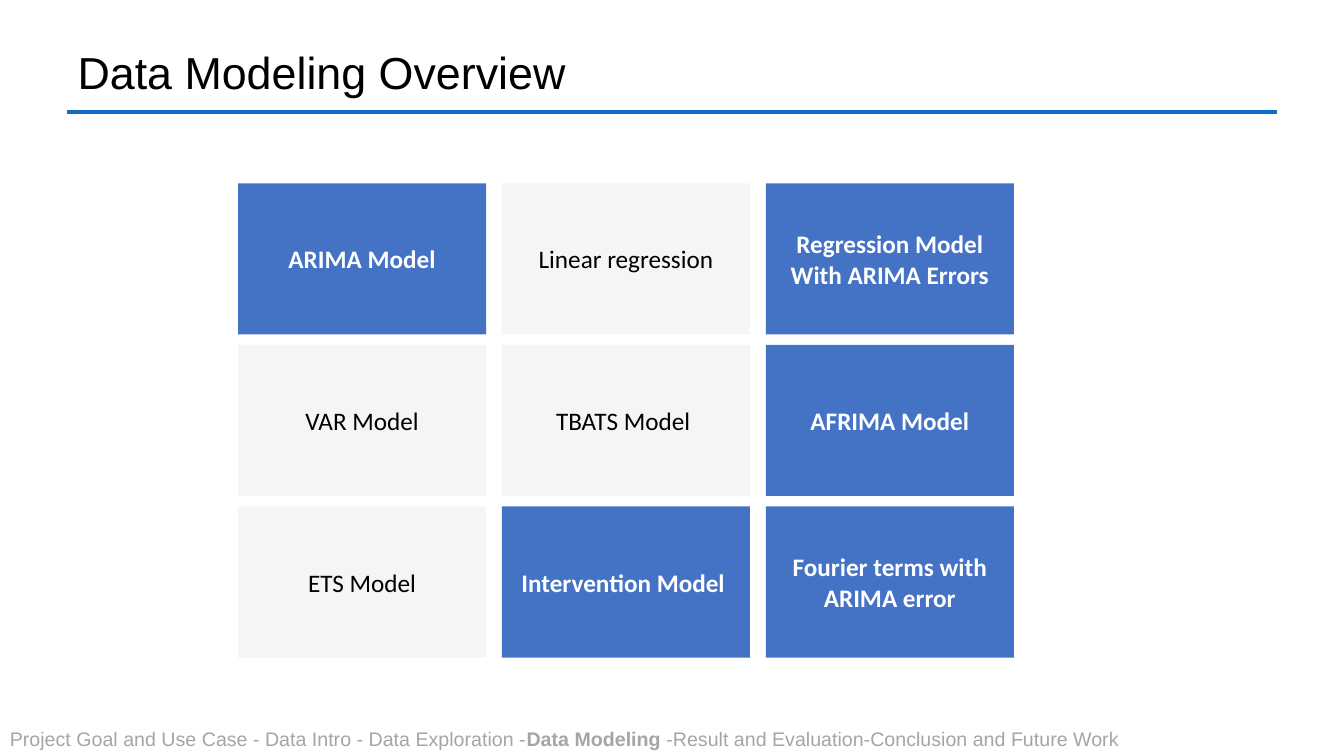
from lxml.etree import SubElement
from pptx import Presentation
from pptx.dml.color import RGBColor
from pptx.enum.shapes import MSO_CONNECTOR, MSO_SHAPE
from pptx.enum.text import MSO_ANCHOR, PP_ALIGN
from pptx.oxml.ns import qn
from pptx.util import Cm, Pt

TITLE = "Data Modeling Overview"
# Each model with whether it is highlighted
MODEL_ROWS = [
    [("ARIMA Model", True), ("Linear regression", False),
     ("Regression Model With ARIMA Errors", True)],
    [("VAR Model", False), ("TBATS Model ", False), ("AFRIMA Model", True)],
    [("ETS Model", False), ("Intervention Model ", True),
     ("Fourier terms with ARIMA error", True)],
]
# Each part of the agenda with whether it is the current section
AGENDA = [
    ("Project Goal and Use Case - Data Intro - Data Exploration -", False),
    ("Data Modeling ", True),
    ("-Result and Evaluation-Conclusion and Future Work", False),
]
COLORS = {
    "rule": "0F6FC6", "highlight": "4472C4", "plain": "F5F5F5",
    "dark": "000000", "light": "FFFFFF", "agenda": "A5A5A5",
}
GRID_LEFT, GRID_TOP = 6, 4.62
TILE_WIDTH, TILE_HEIGHT = 6.25, 3.81
GAP_X, GAP_Y = 0.4, 0.26


def color(name):
    return RGBColor.from_string(COLORS[name])


def format_run(run, font, size, color_name, bold=False):
    run.font.name = font
    run.font.size = Pt(size)
    run.font.bold = bold
    run.font.color.rgb = color(color_name)


def add_title(slide):
    title = slide.shapes.title
    title.left, title.top = Cm(1.7), Cm(1)
    title.width, title.height = Cm(29.21), Cm(1.8)
    frame = title.text_frame
    frame.text = TITLE
    frame.vertical_anchor = MSO_ANCHOR.MIDDLE
    heading = frame.paragraphs[0]
    heading.alignment = PP_ALIGN.LEFT
    heading.line_spacing = 0.9
    format_run(heading.runs[0], "Arial", 32, "dark")

    rule = slide.shapes.add_connector(
        MSO_CONNECTOR.STRAIGHT, Cm(1.7), Cm(2.82), Cm(32.18), Cm(2.82))
    rule.line.color.rgb = color("rule")
    rule.line.width = Pt(3)
    SubElement(rule._element.spPr, qn("a:effectLst"))


def add_tile(slide, row, column, model, highlighted):
    tile = slide.shapes.add_shape(
        MSO_SHAPE.RECTANGLE,
        Cm(GRID_LEFT + column * (TILE_WIDTH + GAP_X)),
        Cm(GRID_TOP + row * (TILE_HEIGHT + GAP_Y)),
        Cm(TILE_WIDTH), Cm(TILE_HEIGHT))
    tile.shadow.inherit = False
    tile.fill.solid()
    tile.fill.fore_color.rgb = color("highlight" if highlighted else "plain")
    tile.line.fill.background()
    frame = tile.text_frame
    frame.word_wrap = True
    frame.vertical_anchor = MSO_ANCHOR.MIDDLE
    frame.margin_left = frame.margin_right = Cm(0.25)
    frame.margin_top = frame.margin_bottom = Cm(0.25)
    frame.text = model
    label = frame.paragraphs[0]
    label.alignment = PP_ALIGN.CENTER
    format_run(label.runs[0], "Calibri", 18,
               "light" if highlighted else "dark", highlighted)


def add_agenda(slide):
    agenda = slide.shapes.add_textbox(Cm(0), Cm(18.19), Cm(29.74), Cm(0.86))
    agenda.text_frame.word_wrap = True
    for section, current in AGENDA:
        run = agenda.text_frame.paragraphs[0].add_run()
        run.text = section
        format_run(run, "Arial", 14, "agenda", current)


def main():
    presentation = Presentation()
    presentation.slide_width, presentation.slide_height = Cm(33.87), Cm(19.05)
    slide = presentation.slides.add_slide(presentation.slide_layouts[5])
    add_title(slide)
    for row, models in enumerate(MODEL_ROWS):
        for column, (model, highlighted) in enumerate(models):
            add_tile(slide, row, column, model, highlighted)
    add_agenda(slide)
    presentation.save("out.pptx")


if __name__ == "__main__":
    main()
